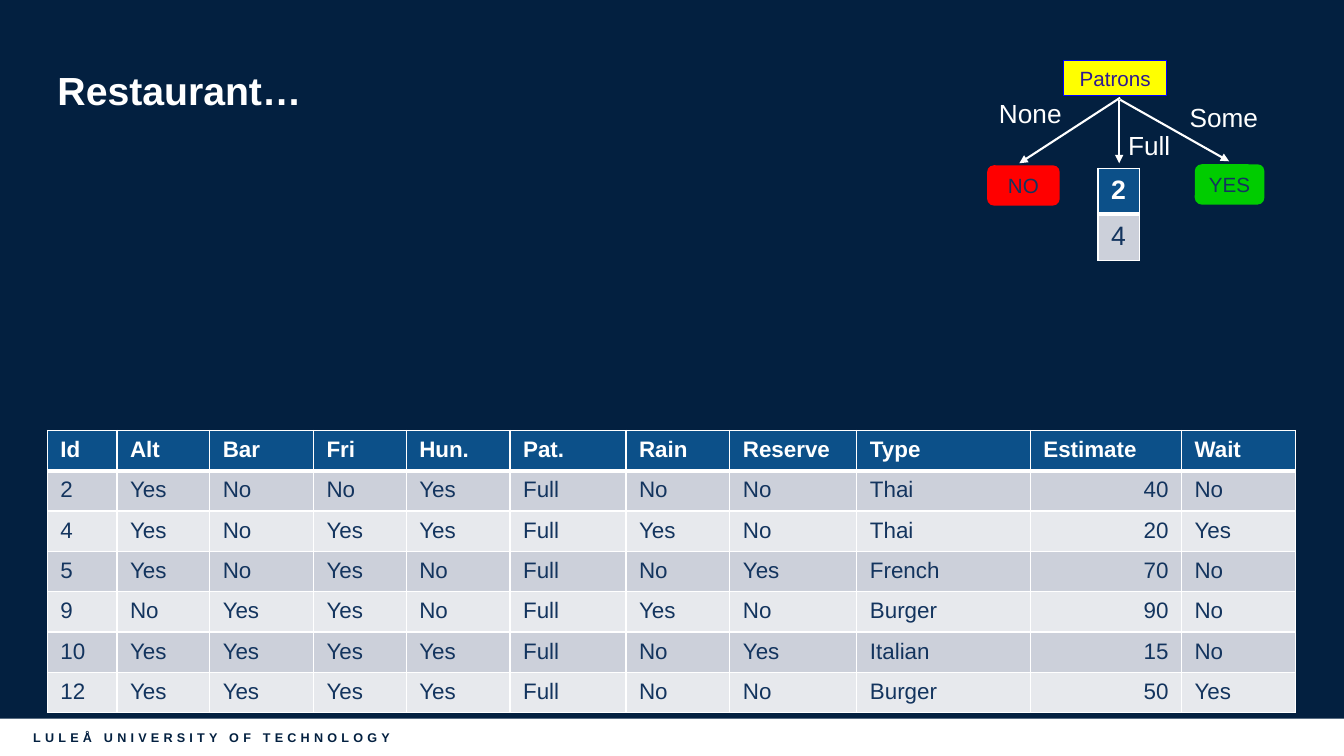
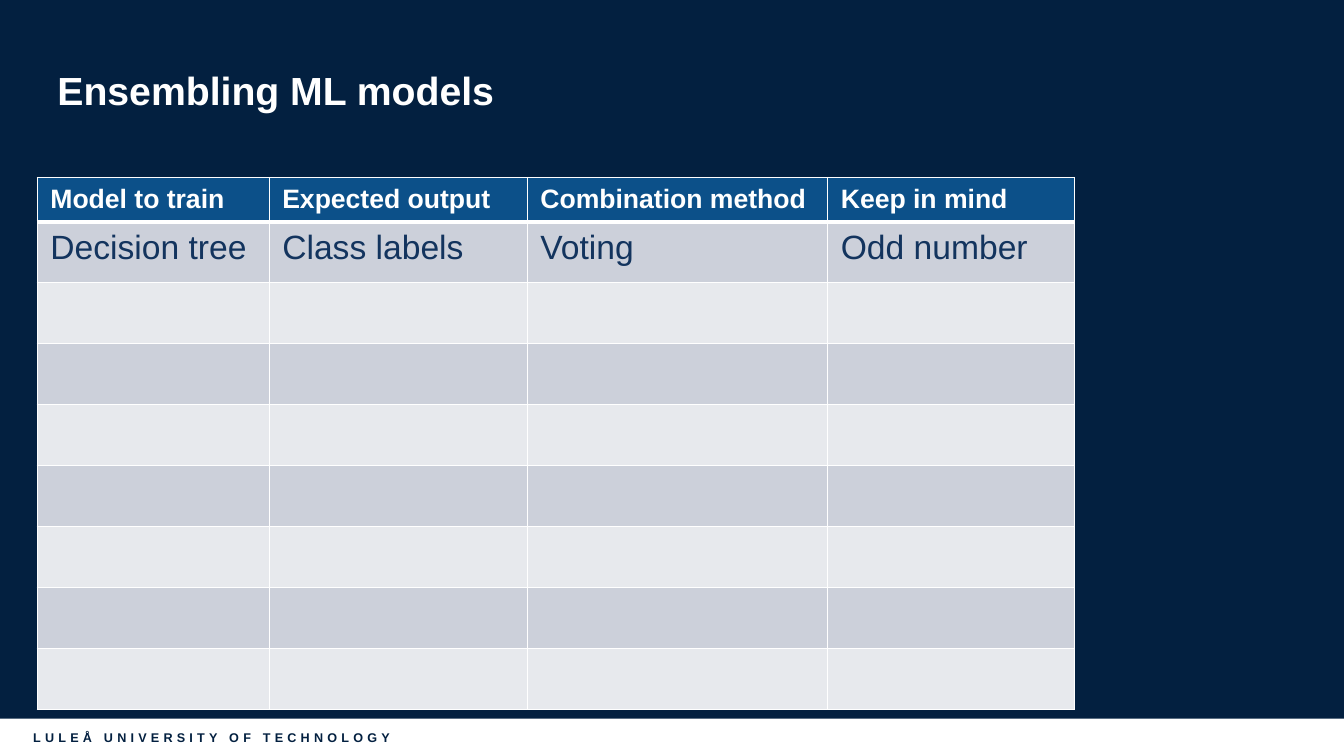
from dataclasses import dataclass

from lxml.etree import SubElement as Sub
from pptx import Presentation as Deck
from pptx.dml.color import RGBColor as Rgb
from pptx.enum.shapes import MSO_CONNECTOR as Link, MSO_SHAPE as Form
from pptx.enum.text import MSO_ANCHOR as Anchor, PP_ALIGN as Align
from pptx.oxml.ns import qn
from pptx.util import Inches, Pt


@dataclass(frozen=True)
class Theme:
    font: str = "Arial"
    navy: str = "032040"
    white: str = "FFFFFF"
    blue: str = "0C5089"
    ink: str = "13345E"
    dark: str = "CCD0DA"
    light: str = "E7E9ED"
    yellow: str = "FFFF00"
    edge: str = "0000FF"
    violet: str = "2D1993"
    green: str = "00CC00"
    red: str = "FF0000"
    title: float = 28
    large: float = 24
    head: float = 19
    label: float = 18.7
    cell: float = 16
    node: float = 14.7
    foot: float = 9


T = Theme()

GUESTS = [
    "Id Alt Bar Fri Hun. Pat. Rain Reserve Type Estimate Wait".split(),
    "2 Yes No No Yes Full No No Thai 40 No".split(),
    "4 Yes No Yes Yes Full Yes No Thai 20 Yes".split(),
    "5 Yes No Yes No Full No Yes French 70 No".split(),
    "9 No Yes Yes No Full Yes No Burger 90 No".split(),
    "10 Yes Yes Yes Yes Full No Yes Italian 15 No".split(),
    "12 Yes Yes Yes Yes Full No No Burger 50 Yes".split(),
]
MODELS = [
    ["Model to train", "Expected output", "Combination method", "Keep in mind"],
    ["Decision tree", "Class labels", "Voting", "Odd number"],
] + [[""] * 4 for _ in range(7)]


def inches(*nums):
    return [Inches(num) for num in nums]


def paint(fill, tint):
    fill.solid()
    fill.fore_color.rgb = Rgb.from_string(tint)


def pad(frame, side, top):
    frame.margin_left = frame.margin_right = Inches(side)
    frame.margin_top = frame.margin_bottom = Inches(top)


def write(frame, text, size, tint, bold=False, align=Align.LEFT):
    par = frame.paragraphs[0]
    par.alignment = align
    run = par.add_run()
    run.text = text
    font = run.font
    font.name, font.size, font.bold = T.font, Pt(size), bold
    font.color.rgb = Rgb.from_string(tint)
    return run


def add_box(slide, form, place, tint, edge=None):
    box = slide.shapes.add_shape(form, *inches(*place))
    box.shadow.inherit = False
    paint(box.fill, tint)
    if edge:
        box.line.color.rgb = Rgb.from_string(edge)
        box.line.width = Pt(1)
    else:
        box.line.fill.background()
    box.text_frame.vertical_anchor = Anchor.MIDDLE
    return box


def add_node(slide, form, place, text, tint, ink, edge=None):
    box = add_box(slide, form, place, tint, edge)
    if form == Form.ROUNDED_RECTANGLE:
        box.adjustments[0] = 0.17
    pad(box.text_frame, 0, 0)
    write(box.text_frame, text, T.node, ink, align=Align.CENTER)


def add_label(slide, place, text):
    frame = slide.shapes.add_textbox(*inches(*place)).text_frame
    frame.word_wrap = False
    write(frame, text, T.label, T.white)


def add_arrow(slide, start, end):
    line = slide.shapes.add_connector(Link.STRAIGHT, *inches(*start, *end))
    line.line.color.rgb = Rgb.from_string(T.white)
    line.line.width = Pt(1.5)
    props = line.element.spPr
    Sub(props.find(qn("a:ln")), qn("a:tailEnd"), type="triangle")
    Sub(props, qn("a:effectLst"))


def rule(cell, side, width):
    line = Sub(cell._tc.get_or_add_tcPr(), qn(f"a:ln{side}"), w=str(Pt(width)))
    Sub(Sub(line, qn("a:solidFill")), qn("a:srgbClr"), val=T.white)


def add_grid(slide, spot, cols, rows, data, head, body, right=None):
    size = sum(cols), sum(rows)
    grid = slide.shapes.add_table(len(rows), len(cols), *inches(*spot, *size)).table
    for col, width in zip(grid.columns, cols):
        col.width = Inches(width)
    for y, (row, high) in enumerate(zip(data, rows)):
        grid.rows[y].height = Inches(high)
        top = y == 0
        tint = T.blue if top else (T.light, T.dark)[y % 2]
        for x, text in enumerate(row):
            cell = grid.cell(y, x)
            pad(cell, 0.13, 0.07)
            for side, width in zip("LRTB", (1, 1, 3 if y == 1 else 1, 3 if top else 1)):
                rule(cell, side, width)
            paint(cell.fill, tint)
            if text:
                align = Align.RIGHT if x == right and not top else Align.LEFT
                write(cell.text_frame, text, head if top else body,
                      T.white if top else T.ink, top, align)


def add_slide(deck, title):
    slide = deck.slides.add_slide(deck.slide_layouts[5])
    head = slide.shapes.title
    head.left, head.top, head.width, head.height = inches(0.47, 0.26, 12.39, 1.32)
    frame = head.text_frame
    frame.vertical_anchor = Anchor.MIDDLE
    frame.paragraphs[0].line_spacing = 0.9
    write(frame, title, T.title, T.white, True)
    return slide


def set_master(deck, slide):
    master = deck.slide_master
    paint(master.background.fill, T.navy)
    band = add_box(slide, Form.RECTANGLE, (0, 7.13, 13.33, 0.37), T.white)
    pad(band.text_frame, 0.33, 0.05)
    run = write(band.text_frame, "LULEÅ UNIVERSITY OF TECHNOLOGY", T.foot, T.navy, True)
    run.font._element.set("spc", "300")
    master.shapes.element.insert(2, band.element)


def add_tree(slide):
    for start, end in (((11.1, 0.99), (11.1, 1.62)),
                       ((11.11, 0.97), (10.11, 1.62)),
                       ((11.11, 0.99), (12.19, 1.6))):
        add_arrow(slide, start, end)
    add_node(slide, Form.RECTANGLE, (10.55, 0.6, 1.02, 0.35), "Patrons",
             T.yellow, T.violet, T.edge)
    add_label(slide, (11.7, 0.96, 0.89, 0.42), "Some")
    add_label(slide, (11.09, 1.23, 0.62, 0.42), "Full")
    add_label(slide, (9.81, 0.92, 0.83, 0.42), "None")
    add_grid(slide, (10.89, 1.67), [0.41], [0.45] * 2, [["2"], ["4"]], T.head, T.head)
    add_node(slide, Form.ROUNDED_RECTANGLE, (11.85, 1.63, 0.69, 0.4), "YES",
             T.green, T.ink)
    add_node(slide, Form.ROUNDED_RECTANGLE, (9.79, 1.64, 0.72, 0.4), "NO",
             T.red, T.ink)


def main():
    """Build the two slides on decision trees and ensembles."""
    deck = Deck()
    deck.slide_width, deck.slide_height = inches(13.33, 7.5)
    first = add_slide(deck, "Restaurant…")
    set_master(deck, first)
    cols = [0.69, 0.92, 1.03, 0.92, 1.03, 1.15, 1.03, 1.26, 1.72, 1.5, 1.13]
    add_grid(first, (0.47, 4.27), cols, [0.4] * 7, GUESTS, T.cell, T.cell, right=9)
    add_tree(first)
    second = add_slide(deck, "Ensembling ML models")
    rows = [0.44] + [(5.28 - 0.44) / 8] * 8
    add_grid(second, (0.37, 1.76), [2.3, 2.56, 2.98, 2.45], rows, MODELS, T.head, T.large)
    deck.save("out.pptx")


if __name__ == "__main__":
    main()
